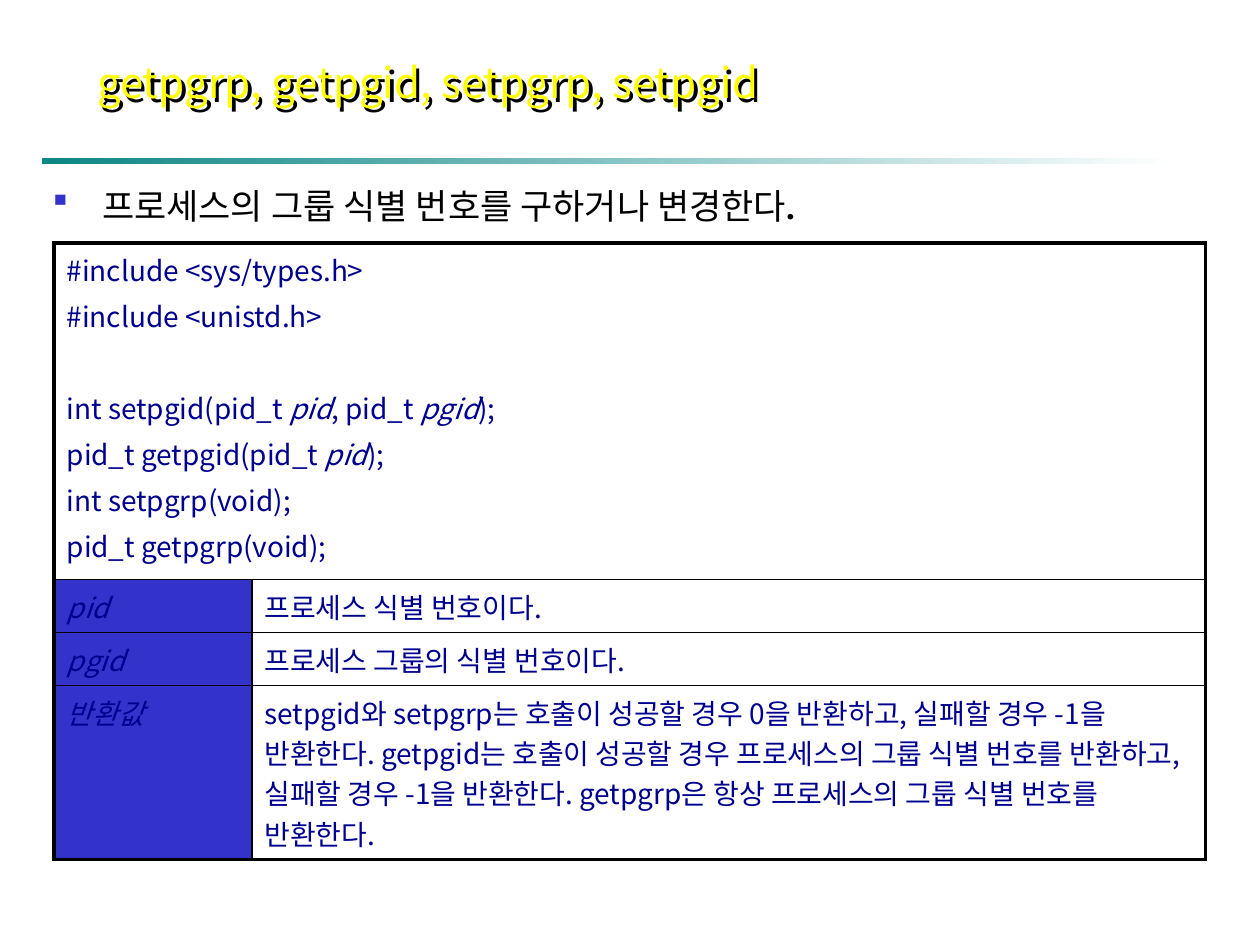
from dataclasses import dataclass

from lxml import etree
from pptx import Presentation
from pptx.dml.color import RGBColor
from pptx.enum.shapes import MSO_SHAPE
from pptx.enum.text import MSO_ANCHOR, MSO_AUTO_SIZE, PP_ALIGN
from pptx.oxml.ns import qn
from pptx.util import Inches, Pt

RECTANGLE = MSO_SHAPE.RECTANGLE
MIDDLE, TOP = MSO_ANCHOR.MIDDLE, MSO_ANCHOR.TOP
NO_AUTOFIT = MSO_AUTO_SIZE.NONE
LEFT = PP_ALIGN.LEFT


@dataclass(frozen=True)
class Theme:
    font: str = "Noto Sans CJK KR"
    period_font: str = "Karla"
    title: str = "FFFF00"
    body: str = "000000"
    code: str = "00008E"
    label_fill: str = "3333CC"
    cell_fill: str = "FFFFFF"
    line: str = "000000"
    rule_start: str = "0D8686"
    rule_end: str = "FFFFFF"
    title_size: float = 24
    body_size: float = 20
    period_size: float = 28
    table_size: float = 16
    space_before: float = 3.2
    blank_line: float = 26.3
    outer_line: float = 2.25
    inner_line: float = 1


@dataclass(frozen=True)
class Piece:
    text: str
    italic: bool = False


@dataclass(frozen=True)
class CodeLine:
    pieces: tuple[Piece, ...]
    starts_group: bool = False


@dataclass(frozen=True)
class Entry:
    label: str
    description: str
    height: float


THEME = Theme()
PID, PGID = Piece("pid", True), Piece("pgid", True)
CODE = (
    CodeLine((Piece("#include <sys/types.h>"),)),
    CodeLine((Piece("#include <unistd.h>"),)),
    CodeLine((Piece("int setpgid(pid_t "), PID, Piece(", pid_t "), PGID, Piece(");")), True),
    CodeLine((Piece("pid_t getpgid(pid_t "), PID, Piece(");"))),
    CodeLine((Piece("int setpgrp(void);"),)),
    CodeLine((Piece("pid_t getpgrp(void);"),)),
)
ENTRIES = (
    Entry("pid", "프로세스 식별 번호이다.", 0.42),
    Entry("pgid", "프로세스 그룹의 식별 번호이다.", 0.42),
    Entry(
        "반환값",
        "setpgid와 setpgrp는 호출이 성공할 경우 0을 반환하고, 실패할 경우 -1을 반환한다. "
        "getpgid는 호출이 성공할 경우 프로세스의 그룹 식별 번호를 반환하고, 실패할 경우 -1을 반환한다. "
        "getpgrp은 항상 프로세스의 그룹 식별 번호를 반환한다.",
        1.38,
    ),
)
CODE_HEIGHT = 2.67
COLUMN_WIDTHS = (1.57, 7.57)


def add_run(paragraph, text: str, size: float, color: str, font: str = THEME.font,
            italic: bool = False) -> None:
    run = paragraph.add_run()
    run.text = text
    formats = {"name": font, "size": Pt(size), "italic": italic, "bold": False}
    for name, value in formats.items():
        setattr(run.font, name, value)
    run.font.color.rgb = RGBColor.from_string(color)
    etree.SubElement(run.font._element, qn("a:ea"), typeface=font)


def place(shape, left: float, top: float, width: float, height: float) -> None:
    box = {"left": left, "top": top, "width": width, "height": height}
    for name, value in box.items():
        setattr(shape, name, Inches(value))


def add_text_shadow(shape) -> None:
    """Give an unfilled shape a hard shadow, which falls from its text."""
    effects = etree.SubElement(shape._element.spPr, qn("a:effectLst"))
    shadow = etree.SubElement(effects, qn("a:outerShdw"), dist="35921", dir="2700000",
                              algn="ctr", rotWithShape="0")
    etree.SubElement(shadow, qn("a:srgbClr"), val=THEME.line)


def add_rule(slide) -> None:
    rule = slide.shapes.add_shape(RECTANGLE, Inches(0.33), Inches(1.25), Inches(9), Inches(0.05))
    rule.shadow.inherit = False
    rule.line.fill.background()
    rule.fill.gradient()
    rule.fill.gradient_angle = 0
    for stop, color in zip(rule.fill.gradient_stops, (THEME.rule_start, THEME.rule_end)):
        stop.color.rgb = RGBColor.from_string(color)


def fill_title(title) -> None:
    place(title, 0.67, 0.31, 6.49, 0.68)
    frame = title.text_frame
    frame.auto_size = NO_AUTOFIT
    frame.vertical_anchor = MIDDLE
    paragraph = frame.paragraphs[0]
    paragraph.alignment = LEFT
    add_run(paragraph, "getpgrp, getpgid, setpgrp, setpgid", THEME.title_size, THEME.title)
    add_text_shadow(title)


def fill_body(body) -> None:
    place(body, 0.33, 1.3, 9.33, 0.47)
    frame = body.text_frame
    frame.auto_size = NO_AUTOFIT
    frame.vertical_anchor = TOP
    paragraph = frame.paragraphs[0]
    add_run(paragraph, "프로세스의 그룹 식별 번호를 구하거나 변경한다", THEME.body_size, THEME.body)
    add_run(paragraph, ".", THEME.period_size, THEME.body, THEME.period_font)
    properties = paragraph._p.get_or_add_pPr()
    indent = Inches(0.38)
    properties.set("marL", str(indent))
    properties.set("indent", str(-indent))
    bullet_color = etree.SubElement(properties, qn("a:buClr"))
    etree.SubElement(bullet_color, qn("a:srgbClr"), val=THEME.label_fill)
    etree.SubElement(properties, qn("a:buSzPct"), val="60000")
    etree.SubElement(properties, qn("a:buChar"), char="■")


def write_lines(cell, lines: tuple[CodeLine, ...]) -> None:
    frame = cell.text_frame
    for index, line in enumerate(lines):
        paragraph = frame.add_paragraph() if index else frame.paragraphs[0]
        gap = THEME.blank_line if line.starts_group else 0
        paragraph.space_before = Pt(THEME.space_before + gap)
        for piece in line.pieces:
            add_run(paragraph, piece.text, THEME.table_size, THEME.code, italic=piece.italic)


def set_borders(cell, outer_sides: dict[str, bool]) -> None:
    properties = cell._tc.get_or_add_tcPr()
    for side, is_outer in outer_sides.items():
        width = Pt(THEME.outer_line if is_outer else THEME.inner_line)
        line = etree.SubElement(properties, qn(f"a:ln{side}"), w=str(width))
        fill = etree.SubElement(line, qn("a:solidFill"))
        etree.SubElement(fill, qn("a:srgbClr"), val=THEME.line)


def add_function_table(slide) -> None:
    heights = (CODE_HEIGHT, *(entry.height for entry in ENTRIES))
    table = slide.shapes.add_table(
        len(heights), len(COLUMN_WIDTHS), Inches(0.43), Inches(1.93),
        Inches(sum(COLUMN_WIDTHS)), Inches(sum(heights))).table
    table.first_row = table.horz_banding = False
    for column, width in zip(table.columns, COLUMN_WIDTHS):
        column.width = Inches(width)
    last_row, last_column = len(heights) - 1, len(COLUMN_WIDTHS) - 1
    for row, height in enumerate(heights):
        table.rows[row].height = Inches(height)
        for column in range(len(COLUMN_WIDTHS)):
            cell = table.cell(row, column)
            is_code = row == 0
            set_borders(cell, {"L": column == 0, "R": is_code or column == last_column,
                               "T": is_code, "B": row == last_row})
            is_label = not is_code and column == 0
            cell.fill.solid()
            color = THEME.label_fill if is_label else THEME.cell_fill
            cell.fill.fore_color.rgb = RGBColor.from_string(color)
    table.cell(0, 0).merge(table.cell(0, last_column))
    write_lines(table.cell(0, 0), CODE)
    for row, entry in enumerate(ENTRIES, start=1):
        write_lines(table.cell(row, 0), (CodeLine((Piece(entry.label, True),)),))
        write_lines(table.cell(row, 1), (CodeLine((Piece(entry.description),)),))


def main() -> None:
    presentation = Presentation()
    presentation.slide_width, presentation.slide_height = Inches(10), Inches(7.5)
    slide = presentation.slides.add_slide(presentation.slide_layouts[1])
    add_rule(slide)
    fill_title(slide.shapes.title)
    fill_body(slide.placeholders[1])
    add_function_table(slide)
    presentation.save("out.pptx")


if __name__ == "__main__":
    main()
